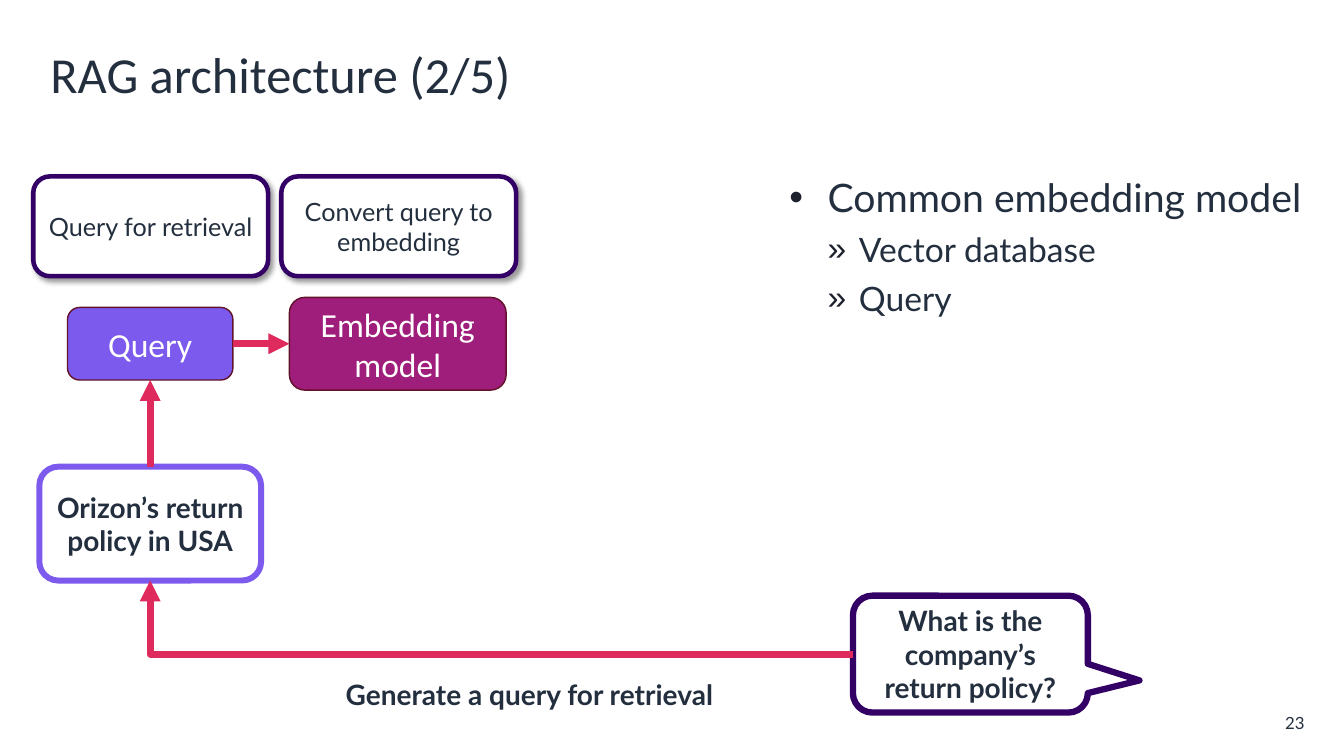
from lxml import etree
from pptx import Presentation
from pptx.dml.color import RGBColor
from pptx.enum.shapes import MSO_CONNECTOR as Connector, MSO_SHAPE as Shape
from pptx.enum.text import MSO_ANCHOR as Anchor, PP_ALIGN as Align
from pptx.oxml import parse_xml
from pptx.oxml.ns import nsdecls, qn
from pptx.util import Inches, Pt

INK = RGBColor(0x23, 0x2F, 0x3E)
WHITE = RGBColor(0xFF, 0xFF, 0xFF)
INDIGO = RGBColor(0x33, 0x00, 0x66)
VIOLET = RGBColor(0x7C, 0x5A, 0xED)
PLUM = RGBColor(0x9F, 0x1D, 0x7B)
MAROON = RGBColor(0x62, 0x12, 0x29)
CRIMSON = RGBColor(0xDF, 0x2A, 0x5D)
BULLET = RGBColor(0x1D, 0x21, 0x2E)

HEADING, BODY = "Calibri", "Lato"
TOP, LEFT, BOTTOM, RIGHT = range(4)


class Page:
    """The current slide and the style shared by its elements."""

    def __init__(self, deck):
        self.slide = deck.slides.add_slide(deck.slide_layouts[5])
        self.shapes = self.slide.shapes

    def style(self, para, size, font=BODY, color=INK, bold=False, align=Align.LEFT):
        para.alignment = align
        para.font.name, para.font.size = font, Pt(size)
        para.font.color.rgb, para.font.bold = color, bold

    def title(self, text, left, top, width, height):
        box = self.shapes.title
        box.left, box.top = Inches(left), Inches(top)
        box.width, box.height = Inches(width), Inches(height)
        box.text_frame.text = text
        box.text_frame.vertical_anchor = Anchor.MIDDLE
        self.style(box.text_frame.paragraphs[0], 36, HEADING)

    def text_box(self, left, top, width, height, wrap=True):
        box = self.shapes.add_textbox(
            Inches(left), Inches(top), Inches(width), Inches(height))
        box.text_frame.word_wrap = wrap
        return box.text_frame

    def label(self, text, left, top, width, height):
        frame = self.text_box(left, top, width, height, wrap=False)
        frame.text = text
        self.style(frame.paragraphs[0], 20, bold=True)

    def page_number(self, text, left, top, width, height):
        frame = self.text_box(left, top, width, height)
        frame.margin_left = frame.margin_right = 0
        frame.margin_top = frame.margin_bottom = 0
        frame.vertical_anchor = Anchor.MIDDLE
        frame.text = text
        self.style(frame.paragraphs[0], 12, align=Align.RIGHT)

    def box(self, text, left, top, width, height, line, weight, size,
            fill=None, kind=Shape.ROUNDED_RECTANGLE, parent=None, **font):
        shapes = parent.shapes if parent else self.shapes
        shape = shapes.add_shape(
            kind, Inches(left), Inches(top), Inches(width), Inches(height))
        shape.shadow.inherit = False
        if fill is None:
            shape.fill.background()
        else:
            shape.fill.solid()
            shape.fill.fore_color.rgb = fill
        shape.line.color.rgb, shape.line.width = line, Pt(weight)
        frame = shape.text_frame
        frame.word_wrap, frame.vertical_anchor = True, Anchor.MIDDLE
        frame.text = text
        self.style(frame.paragraphs[0], size, align=Align.CENTER, **font)
        return shape

    def drop_shadow(self, shape):
        effects = shape._element.spPr.find(qn("a:effectLst"))
        effects.append(parse_xml(
            f'<a:outerShdw {nsdecls("a")} blurRad="{Pt(4)}" dist="{Pt(3)}" '
            'dir="2700000" algn="tl" rotWithShape="0"><a:srgbClr val="000000">'
            '<a:alpha val="40000"/></a:srgbClr></a:outerShdw>'))

    def step(self, caption, left, stage, stage_left, stage_top, width, height, fill):
        """A captioned stage of the pipeline, grouped; returns the stage box."""
        group = self.shapes.add_group_shape()
        note = self.box(caption, left, 1.75, 2.33, 0.99, INDIGO, 3.25, 18,
                        fill=WHITE, parent=group)
        self.drop_shadow(note)
        return self.box(stage, stage_left, stage_top, width, height, MAROON, 1, 24,
                        fill=fill, parent=group, font=HEADING, color=WHITE)

    def arrow(self, kind, start=(0, 0), end=(0, 0)):
        link = self.shapes.add_connector(
            kind, *(Inches(value) for value in (*start, *end)))
        link.line.color.rgb, link.line.width = CRIMSON, Pt(5)
        etree.SubElement(link.line._get_or_add_ln(), qn("a:tailEnd"), type="triangle")
        etree.SubElement(link._element.spPr, qn("a:effectLst"))
        return link

    def join(self, source, source_side, target, target_side):
        link = self.arrow(Connector.STRAIGHT)
        link.begin_connect(source, source_side)
        link.end_connect(target, target_side)

    def corner(self, start, end):
        """An arrow with a single right-angled bend."""
        link = self.arrow(Connector.ELBOW, start, end)
        link._element.spPr.find(qn("a:prstGeom")).set("prst", "bentConnector2")

    def bullets(self, items, left, top, width, height):
        frame = self.text_box(left, top, width, height)
        for index, (level, text) in enumerate(items):
            para = frame.add_paragraph() if index else frame.paragraphs[0]
            para.text, para.level, para.space_after = text, level, Pt(6)
            mark, margin, hang, size = (("•", 0.38, 0.38, 28),
                                        ("»", 0.69, 0.31, 24))[level]
            props = para._p.get_or_add_pPr()
            props.set("marL", str(Inches(margin)))
            props.set("indent", str(-Inches(hang)))
            color = etree.SubElement(props, qn("a:buClr"))
            etree.SubElement(color, qn("a:srgbClr"), val=str(BULLET))
            etree.SubElement(props, qn("a:buFont"), typeface="Arial")
            etree.SubElement(props, qn("a:buChar"), char=mark)
            self.style(para, size)


def main():
    deck = Presentation()
    deck.slide_width, deck.slide_height = Inches(13.33), Inches(7.5)
    page = Page(deck)

    page.page_number("23", 12.41, 7.05, 0.53, 0.25)
    page.title("RAG architecture (2/5)", 0.4, 0.33, 12.54, 0.8)

    query = page.step("Query for retrieval", 0.33,
                      "Query", 0.67, 3.05, 1.64, 0.72, VIOLET)
    model = page.step("Convert query to embedding", 2.79,
                      "Embedding model", 2.87, 2.95, 2.15, 0.92, PLUM)

    question = page.box("What is the company’s return policy?", 8.46, 5.91, 2.33, 1.16,
                        INDIGO, 4.5, 20, kind=Shape.ROUNDED_RECTANGULAR_CALLOUT, bold=True)
    for index, value in enumerate((0.72, 0.225, 0.167)):
        question.adjustments[index] = value
    phrase = page.box("Orizon’s return policy in USA", 0.39, 4.63, 2.2, 1.13,
                      VIOLET, 4.25, 20, bold=True)

    page.corner((8.46, 6.49), (1.49, 5.76))
    page.label("Generate a query for retrieval", 3.33, 6.67, 4.12, 0.44)
    page.join(phrase, TOP, query, BOTTOM)
    page.join(query, RIGHT, model, LEFT)

    page.bullets([(0, "Common embedding model"), (1, "Vector database"), (1, "Query")],
                 7.73, 1.67, 5.39, 3.18)
    deck.save("out.pptx")


if __name__ == "__main__":
    main()
